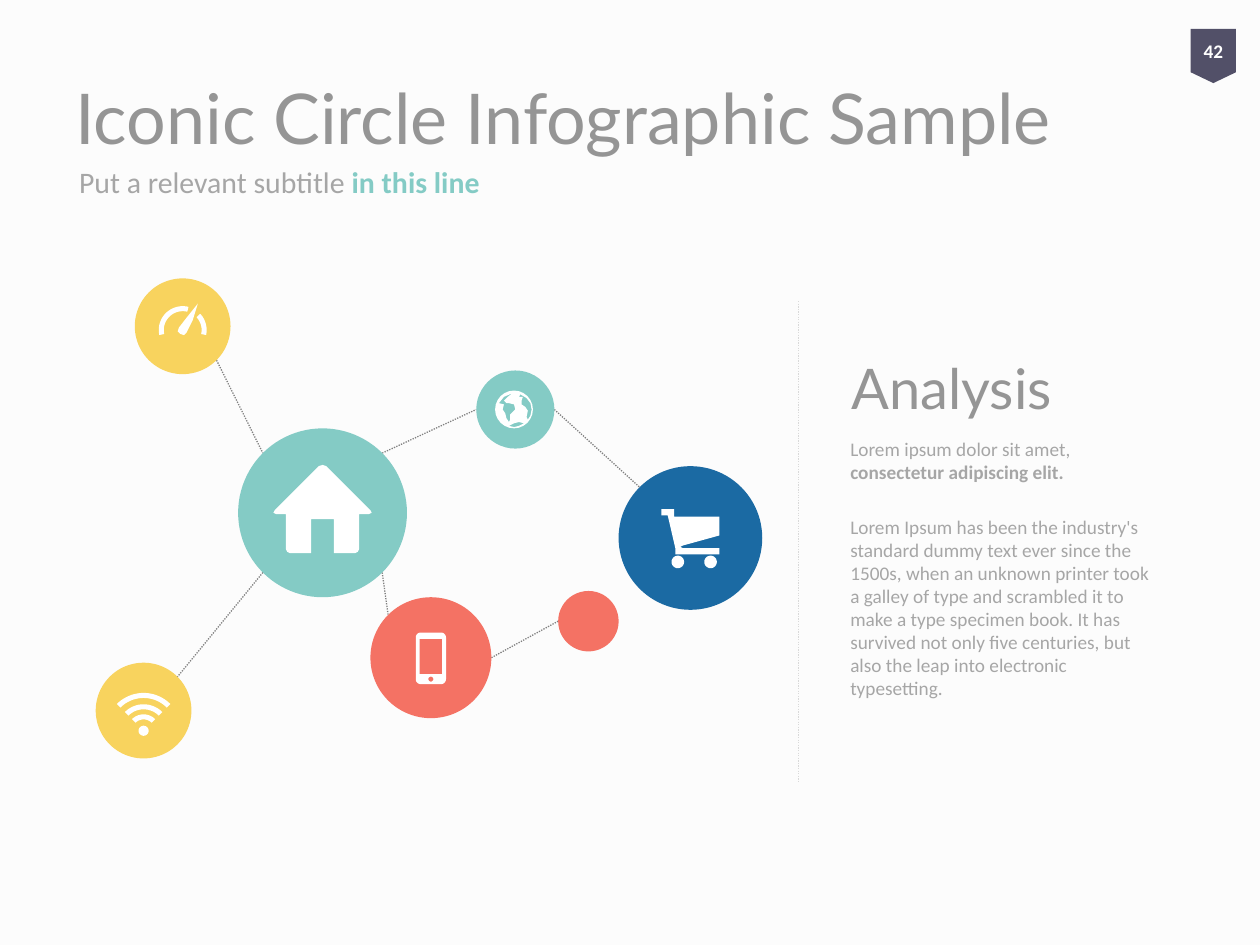
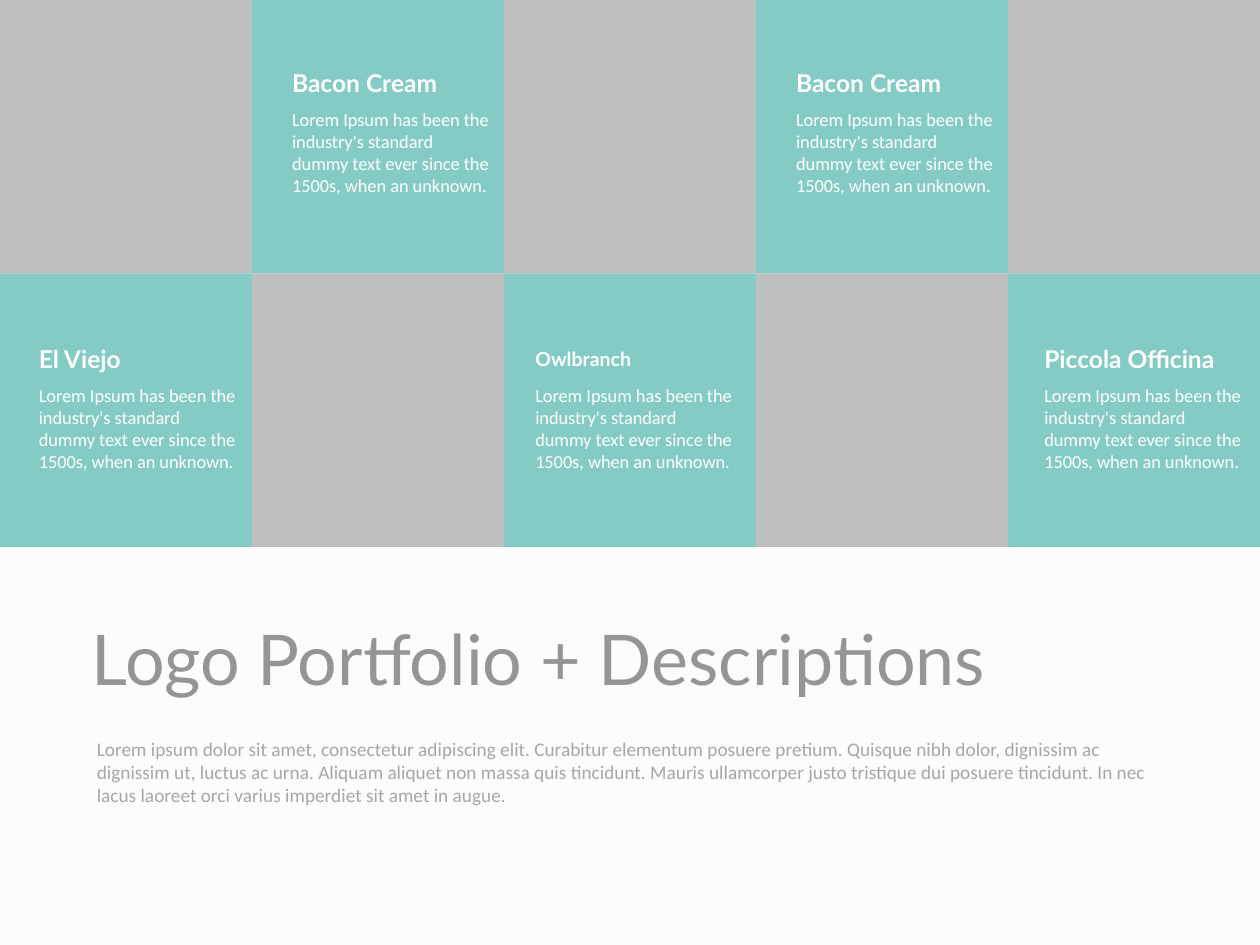
import math

from lxml import etree
from pptx import Presentation
from pptx.dml.color import RGBColor
from pptx.enum.dml import MSO_LINE
from pptx.enum.shapes import MSO_CONNECTOR, MSO_SHAPE
from pptx.enum.text import MSO_ANCHOR, PP_ALIGN
from pptx.oxml.ns import qn
from pptx.util import Inches, Pt

PAPER = RGBColor(0xFC, 0xFC, 0xFC)
WHITE = RGBColor(0xFF, 0xFF, 0xFF)
TITLE_GREY = RGBColor(0x95, 0x95, 0x95)
BODY_GREY = RGBColor(0xA6, 0xA6, 0xA6)
LINK_GREY = RGBColor(0x80, 0x80, 0x80)
DIVIDER_GREY = RGBColor(0xD9, 0xD9, 0xD9)
TILE_GREY = RGBColor(0xBF, 0xBF, 0xBF)
TEAL = RGBColor(0x84, 0xCB, 0xC5)
CORAL = RGBColor(0xF4, 0x72, 0x64)
BLUE = RGBColor(0x1B, 0x6A, 0xA3)
YELLOW = RGBColor(0xF8, 0xD3, 0x5E)
PLUM = RGBColor(0x52, 0x50, 0x68)

ELLIPSE = MSO_SHAPE.OVAL
RECTANGLE = MSO_SHAPE.RECTANGLE
BADGE = MSO_SHAPE.FLOWCHART_OFFPAGE_CONNECTOR
STRAIGHT = MSO_CONNECTOR.STRAIGHT
DOTTED = MSO_LINE.ROUND_DOT
TOP, MIDDLE = MSO_ANCHOR.TOP, MSO_ANCHOR.MIDDLE
CENTER = PP_ALIGN.CENTER

TITLE = {"name": "Lato", "size": Pt(40), "rgb": TITLE_GREY}
SECTION = {**TITLE, "size": Pt(32)}
SUBTITLE = {"name": "Calibri", "size": Pt(17), "rgb": BODY_GREY}
SUBTITLE_ACCENT = {**SUBTITLE, "rgb": TEAL, "bold": True}
BODY = {**SUBTITLE, "size": Pt(11)}
BODY_BOLD = {**BODY, "bold": True}
PAGE_NUMBER = {**BODY_BOLD, "rgb": WHITE}
CARD_BODY = {**BODY, "size": Pt(10.5), "rgb": WHITE}
CARD_HEADING = {"name": "Lato", "size": Pt(14), "rgb": WHITE, "bold": True}
CARD_HEADING_SMALL = {**CARD_HEADING, "size": Pt(11.1)}

CIRCLES = {
    "dot": (4.67, 4.93, 0.24, CORAL),
    "cart": (5.48, 4.27, 0.57, BLUE),
    "home": (2.56, 4.07, 0.67, TEAL),
    "phone": (3.42, 5.22, 0.48, CORAL),
    "gauge": (1.45, 2.59, 0.38, YELLOW),
    "globe": (4.09, 3.25, 0.31, TEAL),
    "wifi": (1.14, 5.64, 0.38, YELLOW),
}
LINKS = [
    ("gauge", 45, "home", 225),
    ("home", 135, "wifi", 315),
    ("home", 45, "phone", 225),
    ("home", 315, "globe", 180),
    ("globe", 0, "cart", 225),
    ("phone", 0, "dot", 180),
]

TILE_W, TILE_H = 2, 2.17
CARD_TEXT = ("Lorem Ipsum has been the industry's standard dummy text ever "
             "since the 1500s, when an unknown.")
CARDS = [
    ("El Viejo", 0, 1, 0.21, CARD_HEADING),
    ("Bacon Cream", 1, 0, 0.22, CARD_HEADING),
    ("Owlbranch", 2, 1, 0.15, CARD_HEADING_SMALL),
    ("Bacon Cream", 3, 0, 0.22, CARD_HEADING),
    ("Piccola Officina", 4, 1, 0.19, CARD_HEADING),
]


def on_circle(cx, cy, radius, degrees):
    angle = math.radians(degrees)
    return cx + radius * math.cos(angle), cy + radius * math.sin(angle)


def arc(cx, cy, radius, start, end, steps=24):
    return [on_circle(cx, cy, radius, start + (end - start) * i / steps)
            for i in range(steps + 1)]


def disc(cx, cy, radius):
    return arc(cx, cy, radius, 0, 360)


def band(cx, cy, outer, inner, start, end):
    return arc(cx, cy, outer, start, end) + arc(cx, cy, inner, end, start)


def rounded_box(left, top, right, bottom, radius):
    corners = [(right - radius, bottom - radius), (left + radius, bottom - radius),
               (left + radius, top + radius), (right - radius, top + radius)]
    return [point for i, (x, y) in enumerate(corners)
            for point in arc(x, y, radius, 90 * i, 90 * i + 90, 6)]


def cart_icon():
    basket = [(5.42, 4.33), (5.71, 4.25), (5.71, 4.1), (5.35, 4.1), (5.35, 4.04),
              (5.25, 4.04), (5.25, 4.09), (5.3, 4.09), (5.36, 4.35), (5.36, 4.4),
              (5.71, 4.4), (5.71, 4.35), (5.42, 4.35), (5.4, 4.34)]
    return [disc(5.38, 4.46, 0.05), disc(5.64, 4.46, 0.05), basket]


def home_icon():
    axis = 2.56
    half = [(0.03, 3.7), (0.38, 4.05), (0.39, 4.07), (0.37, 4.08), (0.29, 4.08),
            (0.29, 4.36), (0.28, 4.38), (0.26, 4.39), (0.09, 4.39), (0.09, 4.12)]
    right = [(axis + x, y) for x, y in half]
    left = [(axis - x, y) for x, y in reversed(half)]
    return [[(axis, 3.69)] + right + left]


def phone_icon():
    screen = [(3.33, 5.07), (3.51, 5.07), (3.51, 5.35), (3.33, 5.35)]
    return [rounded_box(3.3, 5.02, 3.54, 5.43, 0.04), screen, disc(3.42, 5.39, 0.02)]


def gauge_icon():
    needle = [(1.57, 2.41), (1.53, 2.54), (1.48, 2.64), (1.46, 2.66), (1.43, 2.65),
              (1.41, 2.63), (1.42, 2.6), (1.49, 2.51)]
    return [needle, band(1.45, 2.62, 0.19, 0.15, 168, 284),
            band(1.45, 2.62, 0.19, 0.15, -43, 12)]


def globe_icon():
    east = [(4.22, 3.25), (4.21, 3.3), (4.19, 3.33), (4.18, 3.31), (4.19, 3.26),
            (4.17, 3.23), (4.14, 3.21), (4.14, 3.18), (4.15, 3.15), (4.12, 3.15),
            (4.13, 3.13), (4.18, 3.16), (4.21, 3.2)]
    west = [(4.07, 3.12), (4.03, 3.15), (4, 3.18), (4.02, 3.2), (4.04, 3.2),
            (4.08, 3.21), (4.09, 3.25), (4.05, 3.29), (4.05, 3.33), (4.04, 3.35),
            (4.02, 3.32), (4.01, 3.28), (3.99, 3.25), (4, 3.21), (3.96, 3.2),
            (4, 3.15)]
    south = [(4.04, 3.38), (4.08, 3.36), (4.12, 3.35), (4.16, 3.36), (4.12, 3.38),
             (4.08, 3.39)]
    return [disc(4.08, 3.25, 0.15), east, west, south]


def wifi_icon():
    waves = [band(1.14, 5.8, inner + 0.04, inner, 225, 315)
             for inner in (0.09, 0.17, 0.26)]
    return [disc(1.14, 5.8, 0.04)] + waves


def paint(shape, color):
    shape.shadow.inherit = False
    shape.fill.solid()
    shape.fill.fore_color.rgb = color
    shape.line.fill.background()


def add_block(slide, kind, left, top, width, height, color):
    block = slide.shapes.add_shape(
        kind, Inches(left), Inches(top), Inches(width), Inches(height))
    paint(block, color)
    return block


def add_icon(slide, contours):
    points = [[(Inches(x), Inches(y)) for x, y in contour] for contour in contours]
    builder = slide.shapes.build_freeform(*points[0][0])
    builder.add_line_segments(points[0][1:], close=True)
    for contour in points[1:]:
        builder.move_to(*contour[0])
        builder.add_line_segments(contour[1:], close=True)
    paint(builder.convert_to_shape(), WHITE)


def add_dotted_line(slide, begin, end, color):
    dotted = slide.shapes.add_connector(
        STRAIGHT, *(Inches(length) for length in (*begin, *end)))
    dotted.line.color.rgb = color
    dotted.line.width = Pt(0.75)
    dotted.line.dash_style = DOTTED
    etree.SubElement(dotted._element.spPr, qn("a:effectLst"))


def write_runs(paragraph, runs):
    for text, style in runs:
        run = paragraph.add_run()
        run.text = text
        for attribute, value in style.items():
            target = run.font.color if attribute == "rgb" else run.font
            setattr(target, attribute, value)


def add_text(slide, left, top, width, height, paragraphs, anchor=TOP, gap=0):
    frame = slide.shapes.add_textbox(
        Inches(left), Inches(top), Inches(width), Inches(height)).text_frame
    frame.word_wrap = True
    frame.vertical_anchor = anchor
    for i, runs in enumerate(paragraphs):
        paragraph = frame.add_paragraph() if i else frame.paragraphs[0]
        if i:
            paragraph.space_before = Pt(gap)
        write_runs(paragraph, runs)


def add_title(slide, text, left, top, width):
    add_text(slide, left, top, width, 1.25, [[(text, TITLE)]], MIDDLE)


def add_page_badge(slide, number):
    badge = add_block(slide, BADGE, 9.45, 0.23, 0.36, 0.43, PLUM)
    frame = badge.text_frame
    for side in ("left", "top", "right", "bottom"):
        setattr(frame, f"margin_{side}", 0)
    frame.vertical_anchor = MIDDLE
    frame.paragraphs[0].alignment = CENTER
    write_runs(frame.paragraphs[0], [(number, PAGE_NUMBER)])


def add_slide(deck):
    slide = deck.slides.add_slide(deck.slide_layouts[6])
    slide.background.fill.solid()
    slide.background.fill.fore_color.rgb = PAPER
    return slide


def add_network(slide):
    for source, leaving, target, arriving in LINKS:
        add_dotted_line(slide, on_circle(*CIRCLES[source][:3], leaving),
                        on_circle(*CIRCLES[target][:3], arriving), LINK_GREY)
    for cx, cy, radius, color in CIRCLES.values():
        add_block(slide, ELLIPSE, cx - radius, cy - radius,
                  2 * radius, 2 * radius, color)
    for icon in (cart_icon, home_icon, phone_icon, gauge_icon, globe_icon, wifi_icon):
        add_icon(slide, icon())


def build_infographic(deck):
    slide = add_slide(deck)
    add_title(slide, "Iconic Circle Infographic Sample", 0.5, 0.3, 9)
    add_text(slide, 0.53, 1.18, 9, 0.53,
             [[("Put a relevant subtitle ", SUBTITLE),
               ("in this line", SUBTITLE_ACCENT)]], MIDDLE)
    add_network(slide)
    add_text(slide, 6.65, 3.42, 2.6, 2.12, [
        [("Lorem ipsum dolor sit amet, ", BODY),
         ("consectetur adipiscing elit.", BODY_BOLD)],
        [("Lorem Ipsum has been the industry's standard dummy text ever since the "
          "1500s, when an unknown printer took a galley of type and scrambled it to "
          "make a type specimen book. It has survived not only five centuries, but "
          "also the leap into electronic typesetting.", BODY)],
    ], gap=18)
    add_text(slide, 6.66, 2.68, 2.76, 0.78, [[("Analysis", SECTION)]], MIDDLE)
    add_dotted_line(slide, (6.34, 2.39), (6.34, 6.2), DIVIDER_GREY)
    add_page_badge(slide, "42")


def build_portfolio(deck):
    slide = add_slide(deck)
    add_title(slide, "Logo Portfolio + Descriptions", 0.63, 4.59, 7.84)
    add_text(slide, 0.67, 5.8, 8.74, 0.89, [[(
        "Lorem ipsum dolor sit amet, consectetur adipiscing elit. Curabitur elementum "
        "posuere pretium. Quisque nibh dolor, dignissim ac dignissim ut, luctus ac "
        "urna. Aliquam aliquet non massa quis tincidunt. Mauris ullamcorper justo "
        "tristique dui posuere tincidunt. In nec lacus laoreet orci varius imperdiet "
        "sit amet in augue.", BODY)]])
    for column in range(5):
        for row in range(2):
            color = TEAL if (column + row) % 2 else TILE_GREY
            add_block(slide, RECTANGLE, column * TILE_W, row * TILE_H,
                      TILE_W, TILE_H, color)
    for heading, column, row, indent, style in CARDS:
        left, top = column * TILE_W + indent, 0.46 + row * 2.19
        add_text(slide, left, top + 0.35, 1.77, 0.94, [[(CARD_TEXT, CARD_BODY)]])
        add_text(slide, left, top, 1.77, 0.4, [[(heading, style)]], MIDDLE)


def main():
    deck = Presentation()
    deck.slide_width, deck.slide_height = Inches(10), Inches(7.5)
    build_infographic(deck)
    build_portfolio(deck)
    deck.save("out.pptx")


if __name__ == "__main__":
    main()
